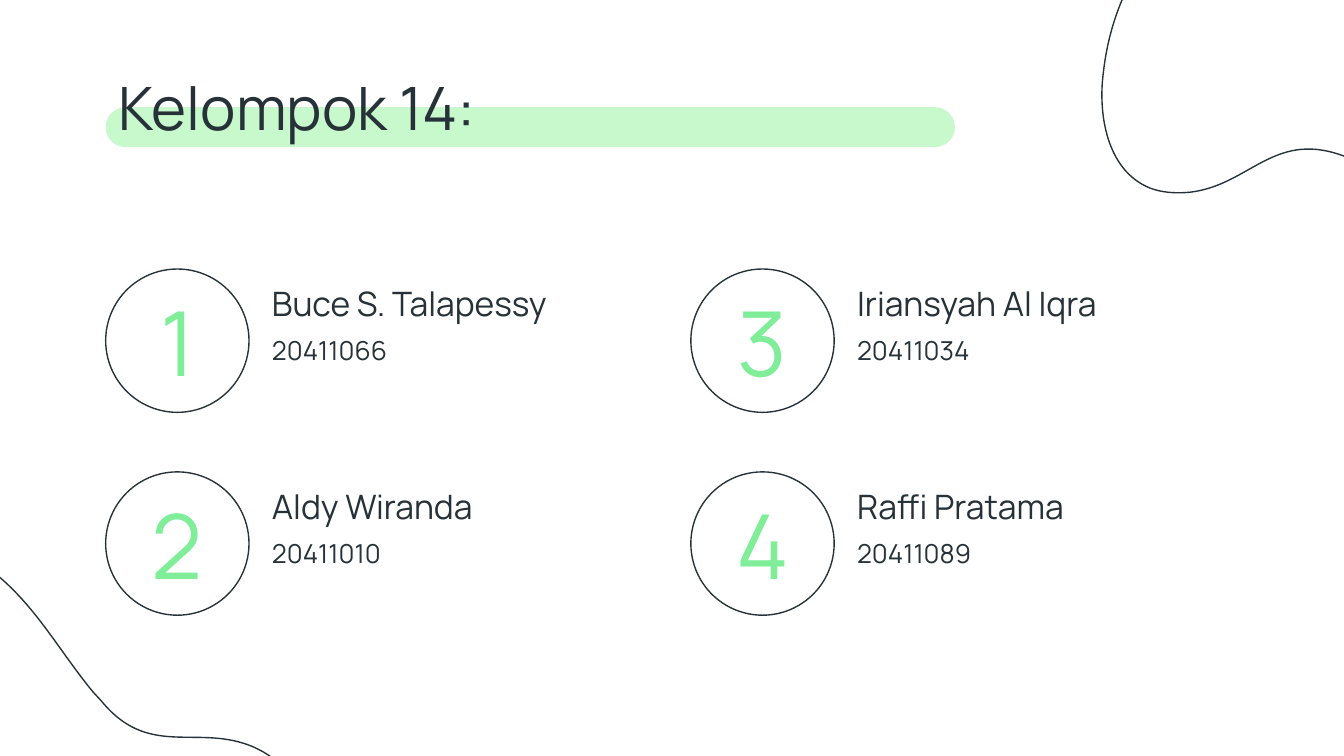
"""Builds the slide that lists the members of group 14."""
from math import cos, radians, sin

from lxml.etree import SubElement
from pptx import Presentation
from pptx.dml.color import RGBColor
from pptx.enum.shapes import MSO_SHAPE
from pptx.enum.text import MSO_ANCHOR, PP_ALIGN
from pptx.oxml.ns import qn
from pptx.util import Pt

INK = RGBColor(0x26, 0x32, 0x38)
GREEN = RGBColor(0x80, 0xED, 0x99)
PALE_GREEN = RGBColor(0xC7, 0xF9, 0xCC)
FONT = "Manrope"

MEMBERS = [
    ("Buce S. Talapessy", "20411066"),
    ("Aldy Wiranda", "20411010"),
    ("Iriansyah Al Iqra", "20411034"),
    ("Raffi Pratama", "20411089"),
]
ROWS = 2
LEFT, TOP = 56.6, 144.1
COLUMN_STEP, ROW_STEP = 313.5, 108.7
CIRCLE = 76.8

BLOB_WIDTH, BLOB_HEIGHT = 318.2, 234
BLOB_CENTRE = (747.4, 26.3)
BLOB_ROTATION = 201
BLOB_START = (616.3, 100.8)
BLOB_CURVES = [
    ((622.1, 103), (629.3, 103.7), (637.2, 103)),
    ((668.9, 99.4), (681.8, 70.6), (717.8, 82.8)),
    ((721.4, 84.2), (725, 85), (728.6, 86.4)),
    ((745.2, 92.9), (760.3, 100.8), (775.4, 106.6)),
    ((794.2, 113.8), (812.9, 118.1), (836.6, 114.5)),
    ((877.7, 109.4), (895, 85), (900, 51.1)),
    ((910.1, -7.9), (872.6, -51.1), (818.6, -72)),
    ((795.6, -80.6), (769.7, -85), (743, -85)),
    ((658.1, -85), (599, -33.1), (591.1, 38.9)),
    ((588.2, 60.5), (592.6, 91.4), BLOB_START),
]


def upright(point):
    dx, dy = point[0] - BLOB_CENTRE[0], point[1] - BLOB_CENTRE[1]
    angle = radians(-BLOB_ROTATION)
    return (
        Pt(BLOB_WIDTH / 2 + dx * cos(angle) - dy * sin(angle)),
        Pt(BLOB_HEIGHT / 2 + dx * sin(angle) + dy * cos(angle)),
    )


def bend_segments(outline):
    """Replaces the straight segments of the blob with its curves."""
    path = next(outline.element.iter(qn("a:path")))
    path.set("w", str(Pt(BLOB_WIDTH)))
    path.set("h", str(Pt(BLOB_HEIGHT)))
    for child in list(path):
        path.remove(child)
    segments = [("a:moveTo", [BLOB_START])]
    segments += [("a:cubicBezTo", curve) for curve in BLOB_CURVES]
    for tag, points in segments:
        segment = SubElement(path, qn(tag))
        for point in points:
            x, y = upright(point)
            SubElement(segment, qn("a:pt"), x=str(x), y=str(y))
    SubElement(path, qn("a:close"))


def draw_outline(shape):
    shape.shadow.inherit = False
    shape.fill.background()
    shape.line.color.rgb = INK
    shape.line.width = Pt(0.75)


def add_blob(slide, centre, rotation):
    builder = slide.shapes.build_freeform(*upright(BLOB_START))
    builder.add_line_segments([upright(curve[-1]) for curve in BLOB_CURVES])
    blob = builder.convert_to_shape()
    bend_segments(blob)
    blob.left = Pt(centre[0] - BLOB_WIDTH / 2)
    blob.top = Pt(centre[1] - BLOB_HEIGHT / 2)
    blob.width, blob.height = Pt(BLOB_WIDTH), Pt(BLOB_HEIGHT)
    blob.rotation = rotation
    draw_outline(blob)


def add_highlight(slide, left, top, width, height):
    highlight = slide.shapes.add_shape(
        MSO_SHAPE.ROUNDED_RECTANGLE, Pt(left), Pt(top), Pt(width), Pt(height)
    )
    highlight.adjustments[0] = 0.5
    highlight.shadow.inherit = False
    highlight.fill.solid()
    highlight.fill.fore_color.rgb = PALE_GREEN
    highlight.line.fill.background()


def add_circle(slide, left, top):
    draw_outline(slide.shapes.add_shape(
        MSO_SHAPE.OVAL, Pt(left), Pt(top), Pt(CIRCLE), Pt(CIRCLE)
    ))


def add_text(slide, text, left, top, width, height, size, color=INK,
             align=PP_ALIGN.LEFT, anchor=MSO_ANCHOR.TOP):
    frame = slide.shapes.add_textbox(
        Pt(left), Pt(top), Pt(width), Pt(height)
    ).text_frame
    frame.word_wrap = True
    frame.vertical_anchor = anchor
    frame.margin_left = frame.margin_right = Pt(7.2)
    frame.margin_top = frame.margin_bottom = Pt(7.2)
    frame.text = text
    paragraph = frame.paragraphs[0]
    paragraph.alignment = align
    font = paragraph.runs[0].font
    font.name = FONT
    font.size = Pt(size)
    font.color.rgb = color


def add_member(slide, number, name, student_id, left, top):
    add_text(slide, str(number), left + 3.5, top + 10.7, 70, 55.4, 48, GREEN,
             PP_ALIGN.CENTER, MSO_ANCHOR.MIDDLE)
    add_text(slide, name, left + 82, top + 0.3, 211, 29.5, 18)
    add_text(slide, student_id, left + 82, top + 28.1, 211, 48.2, 14)


def main():
    presentation = Presentation()
    presentation.slide_width = Pt(720)
    presentation.slide_height = Pt(405)
    slide = presentation.slides.add_slide(presentation.slide_layouts[6])

    places = [
        (LEFT + column * COLUMN_STEP, TOP + row * ROW_STEP)
        for column, row in (divmod(i, ROWS) for i in range(len(MEMBERS)))
    ]
    add_highlight(slide, LEFT, 57.4, 455, 21.4)
    add_blob(slide, BLOB_CENTRE, BLOB_ROTATION)
    add_blob(slide, (2.2, 411.8), 50.9)
    for place in places:
        add_circle(slide, *place)
    add_text(slide, "Kelompok 14:", LEFT, 30.6, 607, 48.2, 32)
    for number, (member, place) in enumerate(zip(MEMBERS, places), start=1):
        add_member(slide, number, *member, *place)

    presentation.save("out.pptx")


if __name__ == "__main__":
    main()
